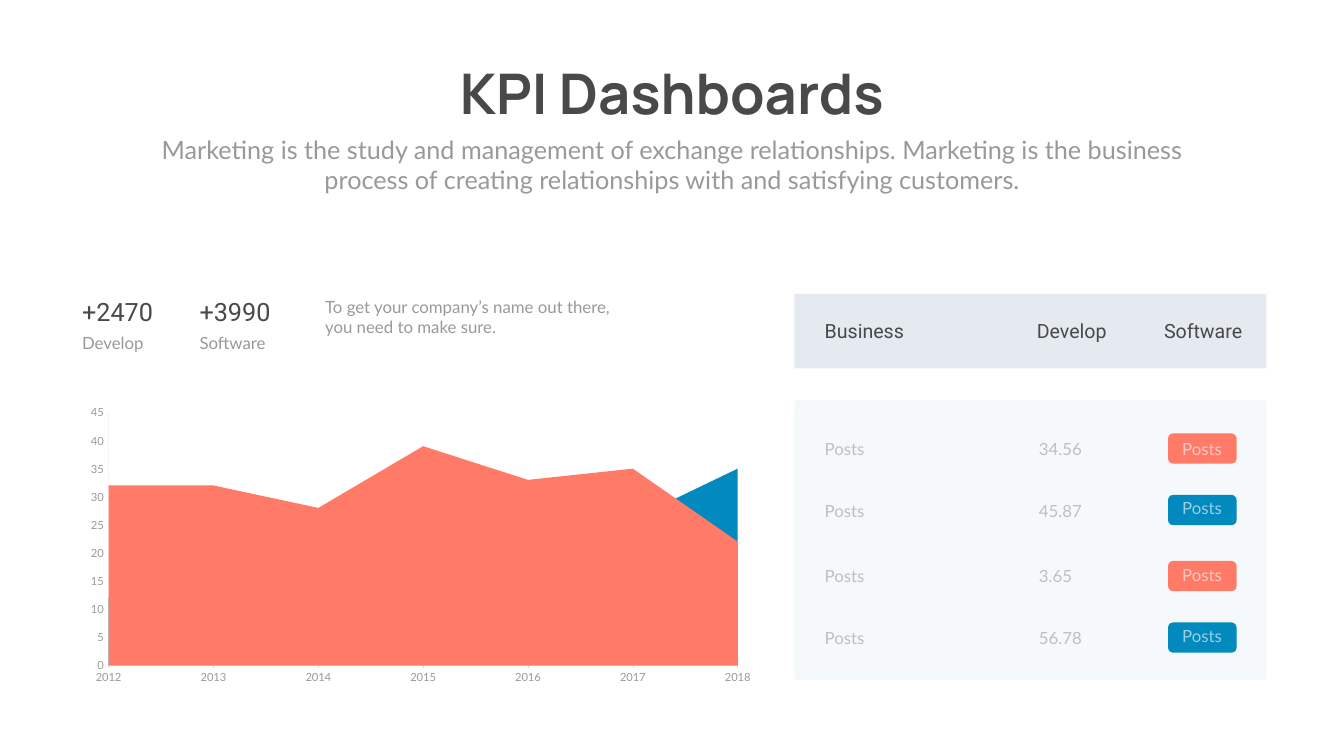
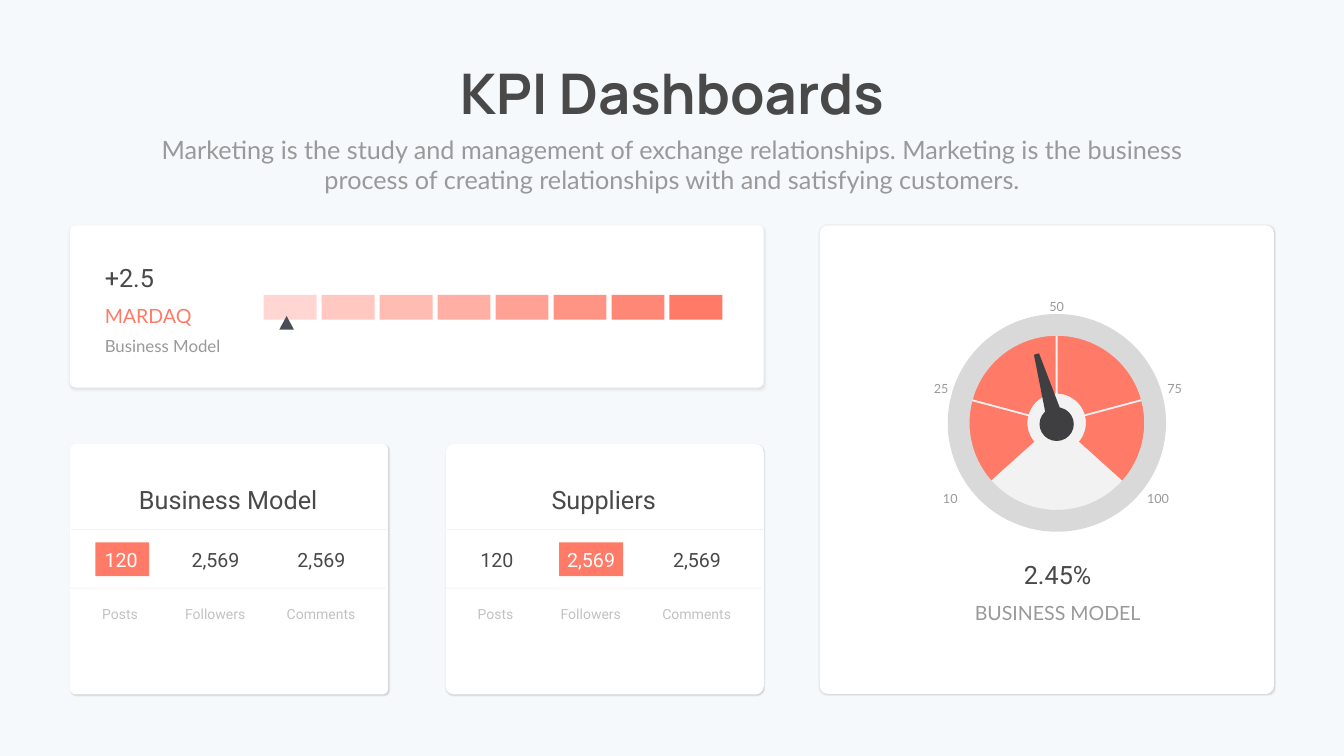
import math
from dataclasses import dataclass

from lxml import etree
from pptx import Presentation
from pptx import util as u
from pptx.chart.data import CategoryChartData
from pptx.dml.color import RGBColor
from pptx.enum import chart as charts, shapes, text
from pptx.oxml.ns import qn


@dataclass(frozen=True)
class Theme:
    dark: str = "494949"
    grey: str = "999999"
    white: str = "FFFFFF"
    coral: str = "FF7A67"
    blue: str = "0289BD"
    sky: str = "4BBBDF"
    pale: str = "F5F9FB"
    header: str = "E5E9F0"
    axis: str = "808080"
    axis_base: str = "D9D9D9"
    marker: str = "4A4E57"
    dial: str = "F2F2F2"
    rim: str = "D9D9D9"
    needle: str = "3F3E40"
    shade: str = "000104"
    title_font: str = "Manrope"
    body_font: str = "Lato"
    figure_font: str = "Roboto"
    title: int = 80
    large: int = 36
    medium: int = 28
    body: int = 24
    small: int = 20
    scale: int = 18
    axis_label: int = 16
    leading: float = 40.8


theme = Theme()
preset = shapes.MSO_SHAPE
Inches = u.Inches


def write(slide, content, box, size=theme.body, font=theme.body_font, color=theme.grey,
          alpha=100, bold=False, center=False, wrap=True, leading=None):
    label = slide.shapes.add_textbox(*map(Inches, box))
    frame = label.text_frame
    frame.word_wrap = wrap
    frame.auto_size = text.MSO_AUTO_SIZE.SHAPE_TO_FIT_TEXT
    paragraph = frame.paragraphs[0]
    paragraph.alignment = text.PP_ALIGN.CENTER if center else text.PP_ALIGN.LEFT
    if leading:
        paragraph.line_spacing = u.Pt(leading)
    run = paragraph.add_run()
    run.text = content
    run.font.name = font
    run.font.size = u.Pt(size)
    run.font.bold = bold
    run.font.color.rgb = RGBColor.from_string(color)
    if alpha < 100:
        for tint in label.element.iter(qn("a:srgbClr")):
            etree.SubElement(tint, qn("a:alpha"), val=str(alpha * 1000))


def draw(slide, kind, box, color, alpha=100, adjust=None, shadow=None):
    if kind == "outline":
        points = [(Inches(x), Inches(y)) for x, y in box]
        builder = slide.shapes.build_freeform(*points[0], scale=1.0)
        builder.add_line_segments(points[1:], close=True)
        figure = builder.convert_to_shape()
    else:
        figure = slide.shapes.add_shape(kind, *map(Inches, box))
    if adjust is not None:
        figure.adjustments[0] = adjust
    figure.fill.solid()
    figure.fill.fore_color.rgb = RGBColor.from_string(color)
    figure.line.fill.background()
    figure.shadow.inherit = False
    if alpha < 100:
        tint = next(figure.element.iter(qn("a:srgbClr")))
        etree.SubElement(tint, qn("a:alpha"), val=str(alpha * 1000))
    if shadow:
        opacity, blur, distance, angle = shadow
        effects = next(figure.element.iter(qn("a:effectLst")))
        outer = etree.SubElement(effects, qn("a:outerShdw"), blurRad=str(u.Pt(blur)),
                                 dist=str(u.Pt(distance)), dir=str(angle * 60000),
                                 algn="ctr", rotWithShape="0")
        tint = etree.SubElement(outer, qn("a:srgbClr"), val=theme.shade)
        etree.SubElement(tint, qn("a:alpha"), val=str(opacity * 1000))


deck = Presentation()
deck.slide_width = Inches(26.66)
deck.slide_height = Inches(15)
trend, gauges = [deck.slides.add_slide(deck.slide_layouts[6]) for _ in range(2)]

draw(gauges, preset.RECTANGLE, (0, 0, 26.66, 15), theme.pale)
for card, corner, shadow in [
    ((1.39, 4.47, 13.76, 3.22), 0.035, (10, 4, 1, 90)),
    ((8.84, 8.81, 6.31, 4.97), 0.033, (15, 2, 1, 45)),
    ((1.39, 8.81, 6.31, 4.97), 0.023, (15, 2, 1, 45)),
    ((16.26, 4.47, 9.01, 9.3), 0.018, (15, 2, 1, 45)),
]:
    draw(gauges, preset.ROUNDED_RECTANGLE, card, theme.white, adjust=corner, shadow=shadow)

for slide in (trend, gauges):
    write(slide, "KPI Dashboards", (8.67, 1.12, 9.32, 1.45), size=theme.title,
          font=theme.title_font, color=theme.dark, bold=True, center=True, wrap=False)
    write(slide, "Marketing is the study and management of exchange relationships. "
          "Marketing is the business process of creating relationships with and "
          "satisfying customers.", (2.92, 2.61, 20.82, 1.31), size=theme.large, center=True)

history = CategoryChartData()
history.categories = [str(year) for year in range(2012, 2019)]
history.add_series("Series 1", (32, 32, 28, 39, 33, 35, 22))
history.add_series("Series 2", (12, 24, 22, 21, 28, 26, 35))
history.add_series("Series 3", [None] * 7)
history.add_series("Series 4", [None] * 7)
area = trend.shapes.add_chart(charts.XL_CHART_TYPE.AREA, Inches(1.53), Inches(7.94),
                              Inches(13.63), Inches(5.73), history).chart
area.has_legend = False
area.has_title = False
area.font.name = theme.body_font
area.font.size = u.Pt(theme.axis_label)
area.font.color.rgb = RGBColor.from_string(theme.grey)
area.plots[0].vary_by_categories = False
for series, color in zip(area.plots[0].series,
                         (theme.coral, theme.blue, theme.coral, theme.sky)):
    series.format.fill.solid()
    series.format.fill.fore_color.rgb = RGBColor.from_string(color)
    series.format.line.fill.background()
years, amounts = area.category_axis, area.value_axis
for axis, color in ((years, theme.axis_base), (amounts, theme.axis)):
    axis.has_major_gridlines = False
    axis.major_tick_mark = charts.XL_TICK_MARK.OUTSIDE
    axis.minor_tick_mark = charts.XL_TICK_MARK.NONE
    axis.format.line.width = u.Pt(0.75)
    axis.format.line.color.rgb = RGBColor.from_string(color)
amounts.minimum_scale, amounts.maximum_scale, amounts.major_unit = 0, 45, 5
scale_line = next(area.element.iter(qn("c:valAx")))
etree.SubElement(next(scale_line.iter(qn("a:srgbClr"))), qn("a:alpha"), val="10000")
scale_line.find(qn("c:crossBetween")).set("val", "midCat")

draw(trend, preset.ROUNDED_RECTANGLE, (15.76, 7.94, 9.36, 5.55), theme.pale, adjust=0.01)
for top, row_top, tag_top, amount, color in [
    (8.6, 8.65, 8.65, "34.56", theme.coral),
    (9.82, 9.88, 9.83, "45.87", theme.blue),
    (11.13, 11.17, 11.16, "3.65", theme.coral),
    (12.35, 12.4, 12.37, "56.78", theme.blue),
]:
    draw(trend, preset.ROUNDED_RECTANGLE, (23.17, top, 1.36, 0.6), color)
    write(trend, "Posts", (16.26, row_top, 1.16, 0.57), alpha=60)
    write(trend, amount, (20.51, row_top, 1.16, 0.5), alpha=60)
    write(trend, "Posts", (23.16, tag_top, 1.37, 0.57), color=theme.white,
          alpha=60, center=True)

draw(trend, preset.ROUNDED_RECTANGLE, (15.76, 5.83, 9.36, 1.48), theme.header, adjust=0.01)
for heading, left, width, center in [
    ("Business", 16.26, 2.01, False),
    ("Develop", 20.47, 2.63, False),
    ("Software", 22.86, 2.01, True),
]:
    write(trend, heading, (left, 6.28, width, 0.65), size=theme.medium,
          font=theme.figure_font, color=theme.dark, center=center)

for left, total, caption in [(1.53, "+2470", "Develop"), (3.86, "+3990", "Software")]:
    write(trend, total, (left, 5.83, 3.46, 0.71), size=theme.large,
          font=theme.figure_font, color=theme.dark)
    write(trend, caption, (left, 6.55, 3.46, 0.5))
write(trend, "To get your company’s name out there, you need to make sure.",
      (6.35, 5.84, 5.92, 0.91))

columns = [
    ("120", 1.63, 1.55, "Posts", 1.26, 2.24),
    ("2,569", 3.26, 2.03, "Followers", 2.81, 2.92),
    ("2,569", 5.36, 2.03, "Comments", 4.91, 2.92),
]
for name, shift, chosen, highlight in [
    ("Business Model", 0, 0, (1.89, 10.76, 1.07, 0.67)),
    ("Suppliers", 7.45, 1, (11.09, 10.76, 1.27, 0.67)),
]:
    draw(gauges, preset.RECTANGLE, highlight, theme.coral)
    for index, (count, left, width, caption, caption_left, caption_width) in enumerate(columns):
        write(gauges, count, (left + shift, 10.83, width, 0.57), size=theme.medium,
              font=theme.figure_font, center=True,
              color=theme.white if index == chosen else theme.dark)
        write(gauges, caption, (caption_left + shift, 11.96, caption_width, 0.44),
              size=theme.small, font=theme.figure_font, alpha=60, center=True)
    for left, top in ((1.41, 10.51), (1.38, 11.67)):
        rule = gauges.shapes.add_connector(
            shapes.MSO_CONNECTOR.STRAIGHT, Inches(left + shift), Inches(top),
            Inches(left + shift + 6.28), Inches(top))
        rule.line.width = u.Pt(0.75)
        rule.line.color.rgb = RGBColor.from_string(theme.dark)
        etree.SubElement(next(rule.element.iter(qn("a:srgbClr"))), qn("a:alpha"), val="10000")
        etree.SubElement(rule.element.find(qn("p:spPr")), qn("a:effectLst"))
    write(gauges, name, (1.63 + shift, 9.55, 5.79, 0.71), size=theme.large,
          font=theme.figure_font, color=theme.dark, center=True)

write(gauges, "Business Model", (1.98, 6.45, 2.93, 0.6), leading=theme.leading)
write(gauges, "+2.5", (1.98, 5.16, 2.04, 0.71), size=theme.large,
      font=theme.figure_font, color=theme.dark)
write(gauges, "MARDAQ", (1.98, 5.89, 2.93, 0.62), size=theme.medium, color=theme.coral,
      leading=theme.leading)
for step in range(8):
    draw(gauges, preset.RECTANGLE, (5.23 + 1.15 * step, 5.85, 1.05, 0.49), theme.coral,
         alpha=30 + 10 * step)
draw(gauges, preset.ISOSCELES_TRIANGLE, (5.54, 6.27, 0.29, 0.27), theme.marker)

center_x, center_y = 20.96, 8.39
inner, outer, half_gap, arc_steps = 0.58, 1.74, 0.02, 30
draw(gauges, preset.OVAL, (19.21, 6.65, 3.49, 3.49), theme.dial)
bounds = [-42, 15, 90, 165, 222]
for start, end in zip(bounds, bounds[1:]):
    sector = []
    for radius, first, last, side in ((outer, start, end, 1), (inner, end, start, -1)):
        trim = side * math.asin(half_gap / radius)
        begin, finish = math.radians(first) + trim, math.radians(last) - trim
        for step in range(arc_steps + 1):
            angle = begin + (finish - begin) * step / arc_steps
            sector.append((center_x + radius * math.cos(angle),
                           center_y - radius * math.sin(angle)))
    draw(gauges, "outline", sector, theme.coral)
draw(gauges, preset.DONUT, (18.8, 6.23, 4.33, 4.32), theme.rim, adjust=0.1)
draw(gauges, "outline", [(20.51, 7.04), (20.79, 8.46), (21.13, 8.37), (20.61, 7.01)],
     theme.needle)
draw(gauges, preset.OVAL, (20.62, 8.08, 0.68, 0.67), theme.needle)

for mark, left, top in [
    ("10", 18.5, 9.42),
    ("100", 22.62, 9.42),
    ("75", 22.95, 7.24),
    ("25", 18.32, 7.24),
    ("50", 20.61, 5.61),
]:
    write(gauges, mark, (left, top, 0.7, 0.59), size=theme.scale, center=True,
          leading=theme.leading)
write(gauges, "2.45%", (19.96, 11.05, 2.04, 0.71), size=theme.large,
      font=theme.figure_font, color=theme.dark, center=True)
write(gauges, "BUSINESS MODEL", (18.8, 11.78, 4.36, 0.62), size=theme.medium,
      center=True, leading=theme.leading)

deck.save("out.pptx")
